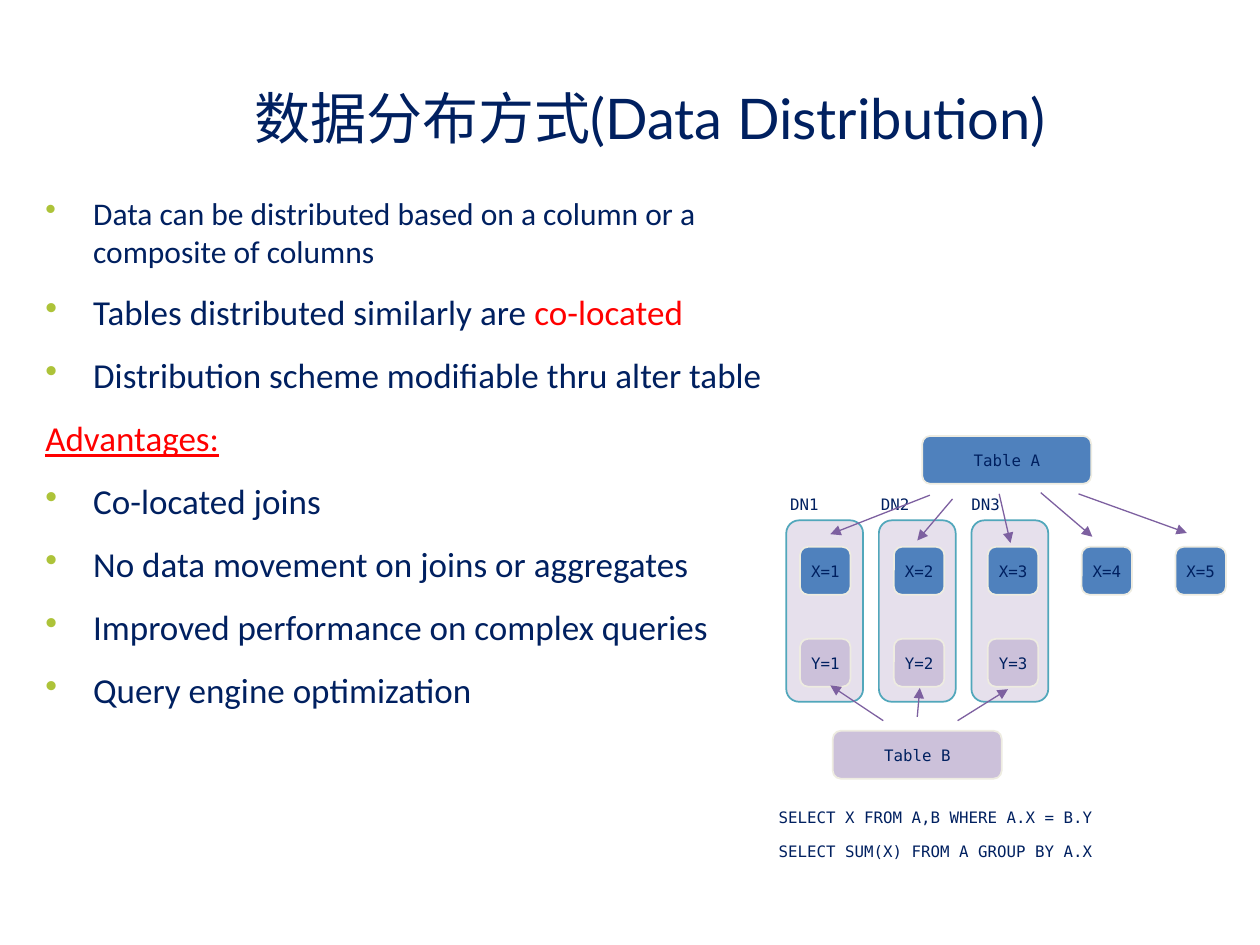
from lxml.etree import SubElement
from pptx import Presentation
from pptx.dml.color import RGBColor
from pptx.enum.shapes import MSO_CONNECTOR, MSO_SHAPE
from pptx.enum.text import MSO_ANCHOR, MSO_AUTO_SIZE, PP_ALIGN
from pptx.oxml.ns import qn
from pptx.util import Inches, Pt

NAVY, RED, LIME = "002060", "FF0000", "ADC339"
BLUE, LILAC, PALE = "4F81BD", "CCC1DA", "E6E0EC"
CREAM, TEAL, PLUM = "EEECE1", "51A7BB", "7D60A0"


def color(code):
    """Turn a hex string into a colour."""
    return RGBColor.from_string(code)


def assign(item, values):
    """Set each value of a dict as an attribute."""
    for name, value in values.items():
        setattr(item, name, value)


class Slide:
    """Hold the style and the current slide."""

    head = {"name": "Lato", "size": Pt(32), "bold": False}
    body = {"name": "Calibri", "size": Pt(20)}
    code = {"name": "DejaVu Sans Mono", "size": Pt(9)}
    frame = {"margin_left": 0, "margin_top": 0, "margin_right": 0,
             "margin_bottom": 0, "word_wrap": True,
             "auto_size": MSO_AUTO_SIZE.NONE}

    def __init__(self, deck):
        """Add a title-only slide."""
        self.page = deck.slides.add_slide(deck.slide_layouts[5])
        self.shapes = self.page.shapes

    def words(self, para, text, style, tint=NAVY, **extra):
        """Add a styled run to a paragraph."""
        run = para.add_run()
        run.text = text
        assign(run.font, {**style, **extra})
        run.font.color.rgb = color(tint)

    def title(self, text, box):
        """Place and fill the title."""
        shape = self.shapes.title
        assign(shape, dict(zip(("left", "top", "width", "height"), map(Inches, box))))
        assign(shape.text_frame, {**self.frame, "vertical_anchor": MSO_ANCHOR.TOP})
        para = shape.text_frame.paragraphs[0]
        assign(para, {"alignment": PP_ALIGN.CENTER, "line_spacing": 0.9})
        self.words(para, text, self.head)

    def bullet(self, para):
        """Give a paragraph a green bullet and a hanging indent."""
        props = para._p.get_or_add_pPr()
        props.set("marL", str(Inches(0.38)))
        props.set("indent", str(-Inches(0.38)))
        tint = SubElement(props, qn("a:buClr"))
        SubElement(tint, qn("a:srgbClr"), val=LIME)
        SubElement(props, qn("a:buChar"), char="•")

    def points(self, rows, box):
        """Add the list, each row being a bullet flag and its runs."""
        frame = self.shapes.add_textbox(*map(Inches, box)).text_frame
        assign(frame, self.frame)
        for i, (mark, runs) in enumerate(rows):
            para = frame.add_paragraph() if i else frame.paragraphs[0]
            if mark:
                self.bullet(para)
            para.space_before = Pt(12 if i else 0)
            for text, extra in runs:
                self.words(para, text, self.body, **extra)

    def label(self, text, left, top, width):
        """Add a line of code text."""
        shape = self.shapes.add_textbox(*map(Inches, (left, top, width, 0.17)))
        assign(shape.text_frame, {**self.frame, "vertical_anchor": MSO_ANCHOR.MIDDLE})
        self.words(shape.text_frame.paragraphs[0], text, self.code)

    def block(self, box, fill, line=CREAM, text=""):
        """Add a rounded box with optional text."""
        shape = self.shapes.add_shape(MSO_SHAPE.ROUNDED_RECTANGLE, *map(Inches, box))
        shape.shadow.inherit = False
        shape.fill.solid()
        shape.fill.fore_color.rgb = color(fill)
        shape.line.color.rgb = color(line)
        shape.line.width = Pt(1)
        if text:
            assign(shape.text_frame, {**self.frame, "vertical_anchor": MSO_ANCHOR.MIDDLE})
            para = shape.text_frame.paragraphs[0]
            para.alignment = PP_ALIGN.CENTER
            self.words(para, text, self.code)

    def arrow(self, *ends):
        """Add a thin arrow from x, y to x, y."""
        link = self.shapes.add_connector(MSO_CONNECTOR.STRAIGHT, *map(Inches, ends))
        link.line.color.rgb = color(PLUM)
        link.line.width = Pt(0.75)
        SubElement(link.line._get_or_add_ln(), qn("a:tailEnd"), type="triangle")
        SubElement(link._element.spPr, qn("a:effectLst"))


def main():
    """Build the slide."""
    deck = Presentation()
    assign(deck, {"slide_width": Inches(10), "slide_height": Inches(7.5)})
    slide = Slide(deck)
    slide.title("数据分布方式(Data Distribution)", (0.56, 0.72, 9.2, 0.5))
    slide.points([
        (True, [("Data can be distributed based on a column or a composite of columns",
                 {"size": Pt(18)})]),
        (True, [("Tables distributed similarly are ", {}),
                ("co-located", {"tint": RED})]),
        (True, [("Distribution scheme modifiable thru alter table", {})]),
        (False, [("Advantages:", {"tint": RED, "underline": True})]),
        (True, [("Co-located joins", {})]),
        (True, [("No data movement on joins or aggregates", {})]),
        (True, [("Improved performance on complex queries", {})]),
        (True, [("Query engine optimization", {})]),
    ], (0.36, 1.54, 6.03, 4.18))

    slide.label("SELECT X FROM A,B WHERE A.X = B.Y", 6.18, 6.4, 3.6)
    slide.label("SELECT SUM(X) FROM A GROUP BY A.X", 6.18, 6.67, 3.6)
    for i in range(3):
        slide.block((6.24 + 1.47 / 2 * i, 4.13, 0.61, 1.44), PALE, TEAL)
        slide.label(f"DN{i + 1}", 6.27 + 0.72 * i, 3.92, 0.45)
    for name, count, top, fill in (("X", 5, 4.34, BLUE), ("Y", 3, 5.07, LILAC)):
        for i in range(count):
            box = (6.35 + 2.98 / 4 * i, top, 0.4, 0.38)
            slide.block(box, fill, text=f"{name}={i + 1}")
    slide.block((7.32, 3.46, 1.34, 0.38), BLUE, text="Table A")
    slide.block((6.61, 5.8, 1.34, 0.38), LILAC, text="Table B")
    for ends in (
        (7.38, 3.93, 6.59, 4.24), (7.56, 3.96, 7.28, 4.29),
        (7.93, 3.92, 8.02, 4.31), (8.26, 3.91, 8.67, 4.26),
        (8.56, 3.92, 9.42, 4.23), (7.01, 5.72, 6.59, 5.44),
        (7.28, 5.69, 7.3, 5.46), (7.6, 5.72, 8, 5.47),
    ):
        slide.arrow(*ends)
    deck.save("out.pptx")


if __name__ == "__main__":
    main()
